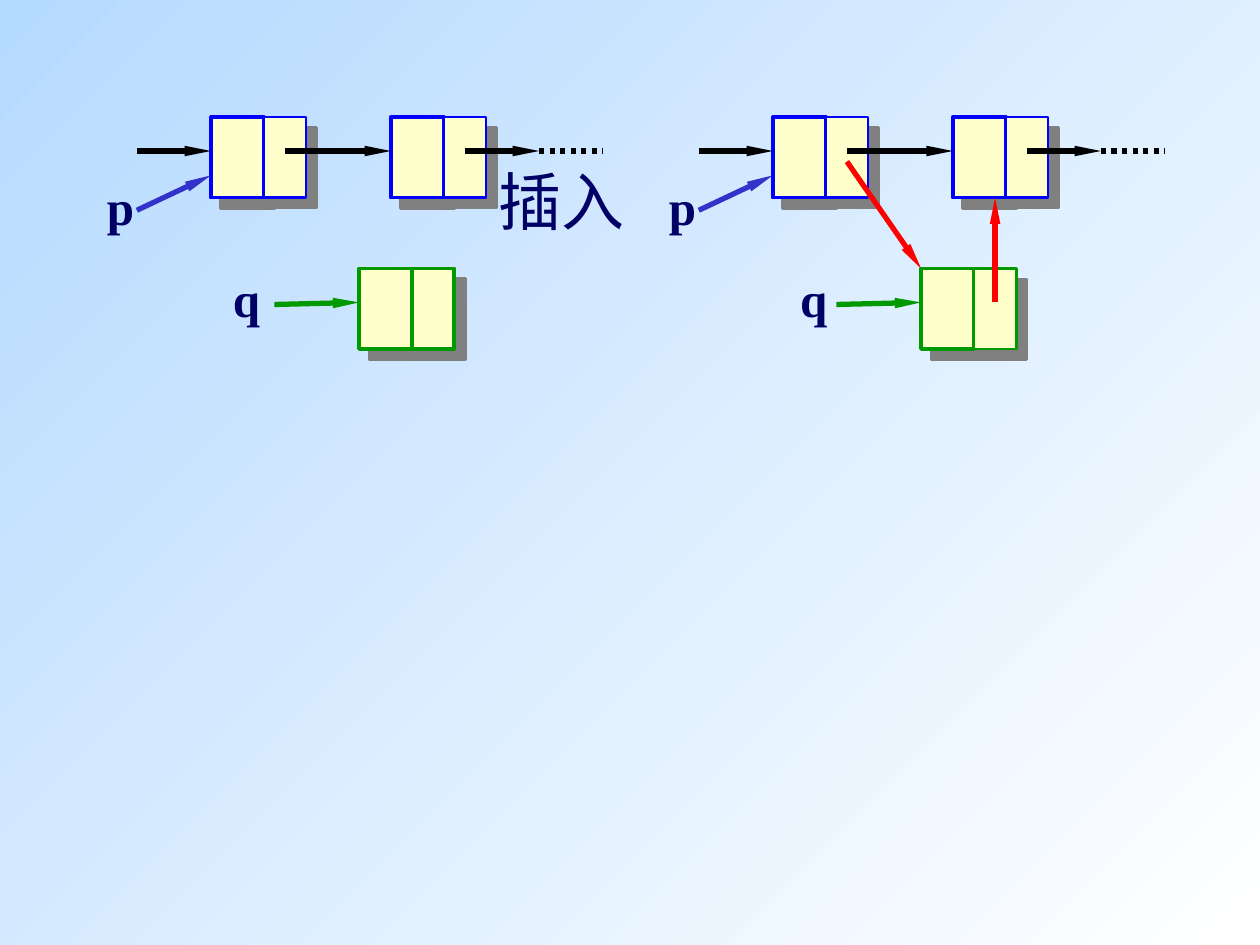
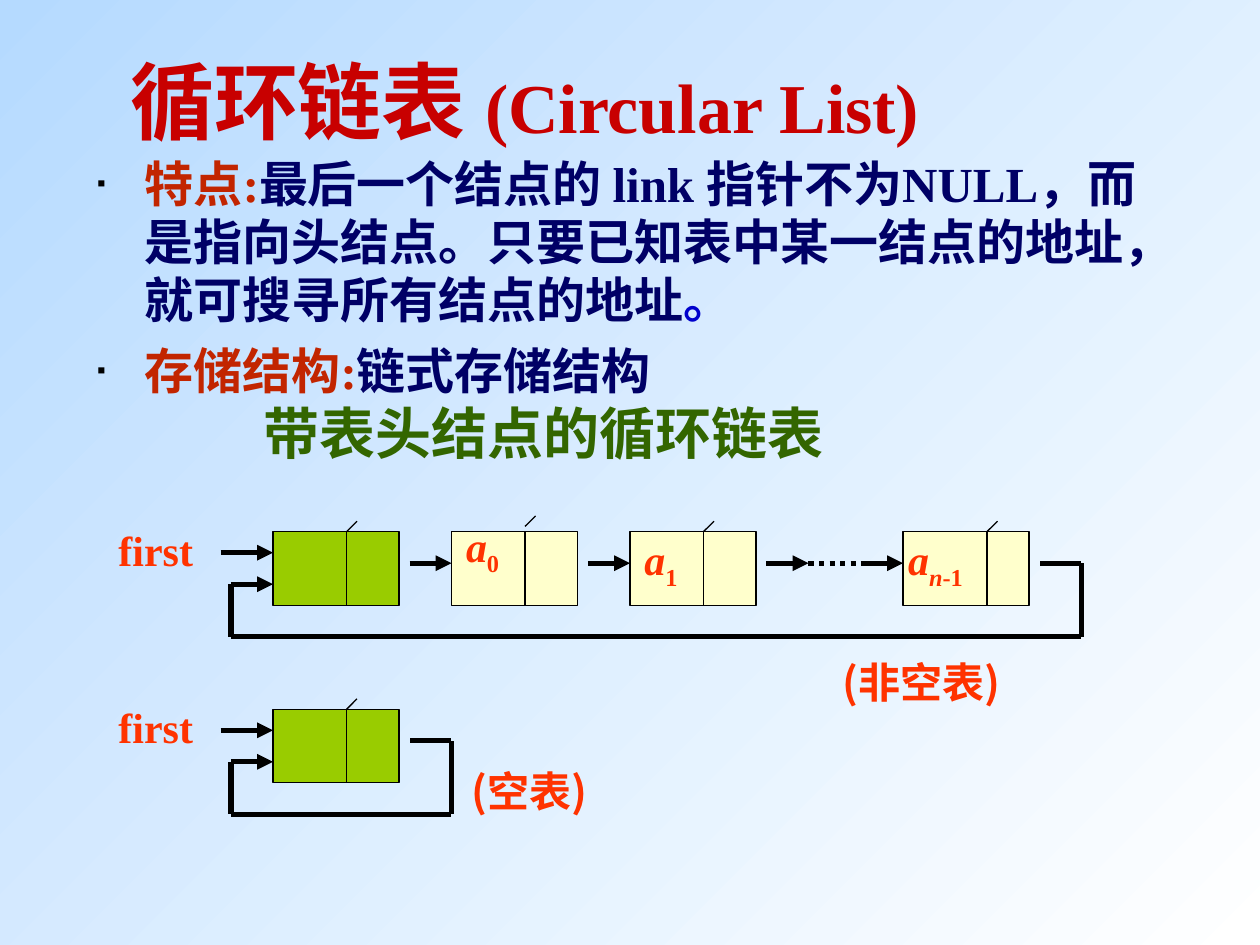
from dataclasses import dataclass

from pptx import Presentation
from pptx.dml.color import RGBColor
from pptx.enum.dml import MSO_LINE_DASH_STYLE as Dash
from pptx.enum.shapes import MSO_CONNECTOR as Connector, MSO_SHAPE as Shape
from pptx.enum.text import MSO_ANCHOR as Anchor, MSO_AUTO_SIZE as AutoSize, PP_ALIGN as Align
from pptx.oxml.ns import qn
from pptx.util import Inches, Pt
from lxml.etree import SubElement


@dataclass(frozen=True)
class Theme:
    font: str = "Times New Roman"
    chinese_font: str = "Noto Sans CJK SC"
    sky: str = "B5DAFF"
    white: str = "FFFFFF"
    black: str = "000000"
    navy: str = "000066"
    blue: str = "0000FF"
    stop_blue: str = "0000CC"
    violet: str = "3333CC"
    green: str = "009900"
    red: str = "FF0000"
    title: str = "C80000"
    term: str = "C22500"
    subtitle: str = "336600"
    label: str = "FF3300"
    cell: str = "FFFFCC"
    head_cell: str = "99CC00"
    shadow: str = "808080"
    title_size: int = 48
    title_latin_size: int = 40
    operation_size: int = 36
    subtitle_size: int = 32
    body_size: int = 28
    label_size: int = 24
    line_height: float = 1.19
    thick: float = 3
    thin: float = 0.75


THEME = Theme()
SLOW_HEAD = {"type": "triangle", "w": "sm", "len": "lg"}
PLAIN_HEAD = {"type": "triangle"}


def rgb(value):
    return RGBColor.from_string(value)


def set_line_height(paragraph, size):
    paragraph.line_spacing = Pt(round(size * THEME.line_height, 1))


def add_run(paragraph, text, size, color, bold=True, italic=False, font=THEME.font, baseline=0):
    run = paragraph.add_run()
    run.text = text
    formats = {"size": Pt(size), "bold": bold, "italic": italic, "name": font}
    for name, value in formats.items():
        setattr(run.font, name, value)
    run.font.color.rgb = rgb(color)
    properties = run.font._element
    SubElement(properties, qn("a:ea")).set("typeface", THEME.chinese_font)
    if baseline:
        properties.set("baseline", str(baseline * 1000))


@dataclass
class Grid:
    """Square grid on a slide, with its origin and step in inches."""
    slide: object
    left: float
    top: float
    step: float

    def point(self, column, row):
        return Inches(self.left + column * self.step), Inches(self.top + row * self.step)

    def box(self, column, row, width, height):
        return *self.point(column, row), Inches(width * self.step), Inches(height * self.step)

    def cell(self, box, fill, color, width, shadow=False):
        shape = self.slide.shapes.add_shape(Shape.RECTANGLE, *self.box(*box))
        shape.fill.solid()
        shape.fill.fore_color.rgb = rgb(fill)
        shape.line.color.rgb = rgb(color)
        shape.line.width = Pt(width)
        shape.shadow.inherit = False
        if shadow:
            effects = shape._element.spPr.find(qn("a:effectLst"))
            outer = SubElement(effects, qn("a:outerShdw"), blurRad="0", dist=str(Pt(8.5)),
                               dir="2700000", algn="ctr", rotWithShape="0")
            SubElement(outer, qn("a:srgbClr"), val=THEME.shadow)

    def line(self, start, end, color=THEME.black, width=THEME.thick, head=None, dash=None):
        connector = self.slide.shapes.add_connector(
            Connector.STRAIGHT, *self.point(*start), *self.point(*end))
        connector.line.color.rgb = rgb(color)
        connector.line.width = Pt(width)
        if dash:
            connector.line.dash_style = dash
        if head:
            SubElement(connector.line._get_or_add_ln(), qn("a:tailEnd"), head)
        SubElement(connector._element.spPr, qn("a:effectLst"))

    def text(self, box, runs, align=Align.LEFT, anchor=Anchor.TOP):
        frame = self.slide.shapes.add_textbox(*self.box(*box)).text_frame
        formats = {"word_wrap": False, "auto_size": AutoSize.SHAPE_TO_FIT_TEXT,
                   "vertical_anchor": anchor}
        for name, value in formats.items():
            setattr(frame, name, value)
        paragraph = frame.paragraphs[0]
        paragraph.alignment = align
        for run in runs:
            add_run(paragraph, **run)
        return paragraph


# Slide 1: inserting a node
def insertion_panel(slide, left, q_column, linked):
    grid = Grid(slide, left, top=0.93, step=0.084)
    height, q_row = 7.6, 14.3

    # Nodes: a data cell and a link cell
    link_width = 1.5 if linked else 2.25
    for column, row, color, width in ((11, 0, THEME.blue, 1.5), (28, 0, THEME.blue, 1.5),
                                      (25, q_row, THEME.green, link_width)):
        grid.cell((column, row, 5, height), THEME.cell, color, 2.25, shadow=True)
        grid.cell((column + 5, row, 4, height), THEME.cell, color, width, shadow=True)

    # Chain of pointers
    for start, end in ((4, 11), (18, 28), (35, 42)):
        grid.line((start, 3.2), (end, 3.2), head=SLOW_HEAD)
    grid.line((42, 3.2), (48, 3.2), dash=Dash.ROUND_DOT)
    grid.line((4, 8.8), (11, 5.5), THEME.violet, head=SLOW_HEAD)
    grid.line((17, 17.7), (25, 17.5), THEME.green, head=SLOW_HEAD)
    if linked:
        grid.line((18, 4.2), (25, q_row), THEME.red, head=SLOW_HEAD)
        grid.line((32, 17.5), (32, height), THEME.red, head=SLOW_HEAD)

    # Pointer names
    name = {"size": THEME.body_size, "color": THEME.navy}
    grid.text((0, 5, 4.9, 6.8), [{"text": "p", **name}], Align.CENTER, Anchor.MIDDLE)
    grid.text((q_column, 13.7, 4.9, 6.8), [{"text": "q", **name}])


def insertion_slide(presentation):
    slide = presentation.slides.add_slide(presentation.slide_layouts[6])
    insertion_panel(slide, 0.75, q_column=11.9, linked=False)
    insertion_panel(slide, 5.21, q_column=12.4, linked=True)
    operation = {"text": "插入", "size": THEME.operation_size, "color": THEME.navy, "bold": False}
    paragraph = Grid(slide, 3.86, 1.25, 0.1).text((0, 0, 12, 7), [operation])
    set_line_height(paragraph, THEME.operation_size)


# Slide 2: circular list
def place(shape, left, top, width, height):
    for name, value in zip(("left", "top", "width", "height"), (left, top, width, height)):
        setattr(shape, name, Inches(value))


def format_paragraph(paragraph, margin, indent, space, bullet):
    paragraph.space_before = Pt(space)
    properties = paragraph._p.get_or_add_pPr()
    properties.set("marL", str(Inches(margin)))
    properties.set("indent", str(Inches(indent)))
    if not bullet:
        SubElement(properties, qn("a:buNone"))
        return
    color = SubElement(properties, qn("a:buClr"))
    SubElement(color, qn("a:srgbClr"), val=THEME.black)
    SubElement(properties, qn("a:buSzPct"), val="50000")
    SubElement(properties, qn("a:buChar"), char="▪")


def circular_text(slide):
    title, body = slide.shapes.title, slide.placeholders[1]
    place(title, 0.75, 0.42, 6.83, 0.75)
    place(body, 0.67, 1.17, 8.5, 5.17)
    for shape in (title, body):
        shape.text_frame.auto_size = AutoSize.NONE
    title.text_frame.vertical_anchor = Anchor.MIDDLE
    heading = title.text_frame.paragraphs[0]
    heading.alignment = Align.CENTER
    set_line_height(heading, THEME.title_size)
    add_run(heading, "循环链表 ", THEME.title_size, THEME.title)
    add_run(heading, "(Circular List)", THEME.title_latin_size, THEME.title)

    bullet = {"margin": 0.38, "indent": -0.38, "space": 7, "bullet": True}
    indented = {"margin": 1.32, "indent": 0, "space": 0, "bullet": False}
    paragraphs = (
        (bullet, THEME.body_size, (
            ("特点:", THEME.term),
            ("最后一个结点的 link 指针不为NULL，而是指向头结点。"
             "只要已知表中某一结点的地址，就可搜寻所有结点的地址", THEME.navy),
            ("。", THEME.stop_blue))),
        (bullet, THEME.body_size, (("存储结构:", THEME.term), ("链式存储结构", THEME.navy))),
        (indented, THEME.subtitle_size, (("带表头结点的循环链表", THEME.subtitle),)),
    )
    frame = body.text_frame
    for index, (layout, size, runs) in enumerate(paragraphs):
        paragraph = frame.add_paragraph() if index else frame.paragraphs[0]
        set_line_height(paragraph, size)
        format_paragraph(paragraph, **layout)
        for text, color in runs:
            add_run(paragraph, text, size, color)


def list_node(grid, column, fill=THEME.cell, divider=7, tick_row=0):
    grid.cell((column, 0, 12, 7), fill, THEME.black, THEME.thin)
    middle = column + divider
    grid.line((middle, 0), (middle, 7), width=THEME.thin)
    grid.line((middle, tick_row), (middle + 1, tick_row - 1), width=THEME.thin)


def circular_list(slide, top, end, caption, caption_box):
    """Head node, its pointer, and the loop that turns back at column end."""
    grid = Grid(slide, 1.75, top, 1 / 12)
    label = {"size": THEME.label_size, "color": THEME.label}
    list_node(grid, 5, THEME.head_cell)
    grid.line((0, 2), (5, 2), head=PLAIN_HEAD)
    grid.line((1, 5), (5, 5), head=PLAIN_HEAD)
    corners = ((1, 5), (1, 10), (end, 10), (end, 3), (end - 4, 3))
    for start, stop in zip(corners, corners[1:]):
        grid.line(start, stop)
    grid.text((-10.9, -1.3, 9.5, 6), [{"text": "first", **label}])
    grid.text(caption_box, [{"text": caption, "font": THEME.chinese_font, **label}])
    return grid


def data_nodes(grid):
    for column, divider, tick_row in ((22, 7, -0.5), (39, 7, 0), (65, 8, 0)):
        list_node(grid, column, divider=divider, tick_row=tick_row)
    for start in (18, 35, 52, 61):
        grid.line((start, 3), (start + 4, 3), head=PLAIN_HEAD)
    grid.line((56, 3), (62, 3), dash=Dash.ROUND_DOT)

    # Element names with subscripts
    label = {"size": THEME.label_size, "color": THEME.label}
    below = {"baseline": -25, **label}
    elements = (
        ((22.2, -1.7, 6.8, 6.7), (("0", False),)),
        ((39.2, -0.4, 6.8, 6.7), (("1", False),)),
        ((64.3, -0.4, 7.6, 6.7), (("n", True), ("-1", False))),
    )
    for box, subscripts in elements:
        runs = [{"text": "a", "italic": True, **label}]
        runs += [{"text": text, "italic": italic, **below} for text, italic in subscripts]
        grid.text(box, runs)


def circular_slide(presentation):
    slide = presentation.slides.add_slide(presentation.slide_layouts[1])
    circular_text(slide)
    data_nodes(circular_list(slide, 4.22, 82, "(非空表)", (58.1, 11.3, 21.1, 6)))
    circular_list(slide, 5.63, 22, "(空表)", (22.7, 4.8, 17.2, 6))


# Shared background
def set_background(presentation):
    fill = presentation.slide_master.background.fill
    fill.gradient()
    fill.gradient_angle = 315
    for stop, position, color in zip(fill.gradient_stops, (0, 1), (THEME.sky, THEME.white)):
        stop.position = position
        stop.color.rgb = rgb(color)


def main():
    presentation = Presentation()
    presentation.slide_width, presentation.slide_height = Inches(10), Inches(7.5)
    set_background(presentation)
    insertion_slide(presentation)
    circular_slide(presentation)
    presentation.save("out.pptx")


if __name__ == "__main__":
    main()
